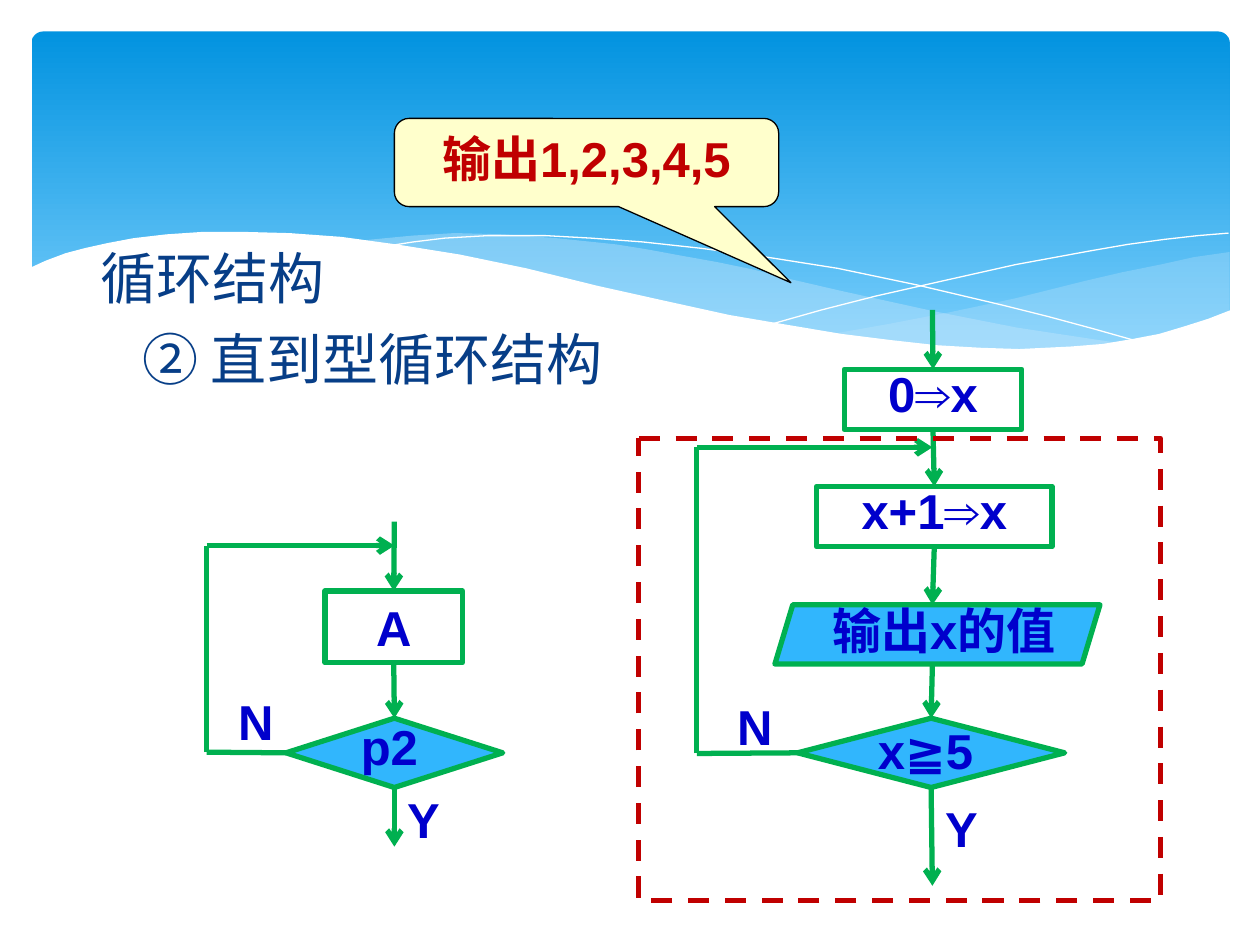
import dataclasses

import lxml.etree
import pptx
import pptx.dml.color
import pptx.enum.dml
import pptx.enum.shapes
import pptx.enum.text
import pptx.oxml.ns
import pptx.util

Inches = pptx.util.Inches
Pt = pptx.util.Pt
MSO = pptx.enum.shapes.MSO_SHAPE
qn = pptx.oxml.ns.qn


@dataclasses.dataclass(frozen=True)
class Theme:
    sky_top: str = "0293E0"
    sky_bottom: str = "83D3FE"
    mist: str = "C6E7FC"
    white: str = "FFFFFF"
    black: str = "000000"
    heading: str = "073E87"
    flow: str = "00B050"
    node: str = "31B6FD"
    label: str = "0000CC"
    accent: str = "C00000"
    note: str = "FFFFCC"
    heading_font: str = "DejaVu Sans"
    label_font: str = "Arial"
    heading_size: int = 32
    label_size: int = 28
    stroke: float = 3


T = Theme()

BACK_WAVE = [
    (9.76, 2), (9.48, 2.04), (9.21, 2.1), (8.91, 2.16), (8.61, 2.23), (8.05, 2.37),
    (7.53, 2.48), (7.06, 2.57), (6.61, 2.65), (6.91, 2.69), (7.18, 2.73), (7.45, 2.75),
    (7.81, 2.77), (8.14, 2.78), (8.44, 2.77), (8.72, 2.74), (8.97, 2.7), (9.21, 2.65),
    (9.42, 2.59), (9.63, 2.52), (9.76, 2.47)]
MIDDLE_WAVE = [
    (8.93, 2.73), (8.66, 2.69), (8.07, 2.6), (7.41, 2.47), (6.68, 2.31), (6.29, 2.22),
    (5.98, 2.14), (5.69, 2.08), (5.41, 2.03), (5.14, 1.98), (4.89, 1.94), (4.41, 1.89),
    (3.99, 1.86), (3.61, 1.85), (3.28, 1.87), (2.86, 1.91), (3.23, 1.96), (3.62, 2.03),
    (4.04, 2.11), (4.49, 2.22), (4.91, 2.32), (5.3, 2.4), (5.66, 2.48), (6.01, 2.55),
    (6.34, 2.61), (6.65, 2.66), (6.95, 2.7), (7.22, 2.74), (7.48, 2.76), (7.73, 2.78),
    (8.07, 2.79), (8.38, 2.78), (8.67, 2.76)]
FALLING_LINE = [
    (3.09, 1.95), (3.28, 1.92), (3.53, 1.89), (3.87, 1.87), (4.33, 1.87), (4.69, 1.89),
    (5.1, 1.92), (5.56, 1.97), (6.08, 2.04), (6.65, 2.13), (7.27, 2.26), (7.95, 2.42),
    (8.31, 2.51), (8.68, 2.61), (9.07, 2.72)]
RISING_LINE = [
    (6.13, 2.57), (6.52, 2.46), (6.95, 2.35), (7.48, 2.23), (8.06, 2.1), (8.66, 1.99),
    (8.95, 1.94), (9.24, 1.9), (9.51, 1.87), (9.75, 1.85)]
FRONT_WAVE = [
    (9.77, 2.46), (9.59, 2.53), (9.4, 2.59), (9.2, 2.65), (8.99, 2.69), (8.75, 2.73),
    (8.5, 2.75), (8.09, 2.77), (7.78, 2.76), (7.44, 2.74), (7.08, 2.7), (6.68, 2.65),
    (6.26, 2.58), (5.79, 2.5), (5.29, 2.39), (4.75, 2.27), (4.18, 2.13), (3.65, 2.02),
    (3.15, 1.94), (2.71, 1.88), (2.3, 1.85), (1.93, 1.84), (1.61, 1.84), (1.32, 1.86),
    (1.06, 1.89), (0.85, 1.93), (0.67, 1.97), (0.52, 2.01), (0.36, 2.07), (0.23, 2.13),
    (0.23, 3.29), (9.77, 3.29)]


def rgb(value):
    return pptx.dml.color.RGBColor.from_string(value)


def apply(target, formats):
    for name, value in formats.items():
        setattr(target, name, value)


def paint(sp, fill=None, line=None, width=T.stroke):
    sp.shadow.inherit = False
    if fill:
        sp.fill.solid()
        sp.fill.fore_color.rgb = rgb(fill)
    else:
        sp.fill.background()
    if line:
        sp.line.color.rgb = rgb(line)
        sp.line.width = Pt(width)
    else:
        sp.line.fill.background()


def write(sp, text, color=T.label, spacing=None):
    tf = sp.text_frame
    apply(tf, dict(word_wrap=True, vertical_anchor=pptx.enum.text.MSO_ANCHOR.TOP))
    p = tf.paragraphs[0]
    apply(p, dict(alignment=pptx.enum.text.PP_ALIGN.CENTER, line_spacing=spacing))
    r = p.add_run()
    r.text = text
    apply(r.font, dict(name=T.label_font, size=Pt(T.label_size), bold=True))
    r.font.color.rgb = rgb(color)


def add_node(s, kind, box, fill=None, line=T.flow, width=T.stroke, adj=()):
    sp = s.shapes.add_shape(kind, *map(Inches, box))
    for i, value in enumerate(adj):
        sp.adjustments[i] = value
    paint(sp, fill, line, width)
    return sp


def add_box(s, text, box, spacing=None):
    sp = add_node(s, MSO.RECTANGLE, box)
    write(sp, text, spacing=spacing)
    return sp


def add_label(s, text, left, top, width=0.78):
    write(s.shapes.add_textbox(*map(Inches, (left, top, width, 0.57))), text)


def add_line(s, start, end, arrow=True, begin=None, finish=None):
    cx = s.shapes.add_connector(
        pptx.enum.shapes.MSO_CONNECTOR.STRAIGHT, *map(Inches, (*start, *end)))
    cx.line.color.rgb = rgb(T.flow)
    cx.line.width = Pt(T.stroke)
    if arrow:
        ln = cx.line._get_or_add_ln()
        lxml.etree.SubElement(ln, qn("a:tailEnd"), type="arrow")
    lxml.etree.SubElement(cx._element.spPr, qn("a:effectLst"))
    if begin:
        cx.begin_connect(*begin)
    if finish:
        cx.end_connect(*finish)


def add_loop(s, decision, right, left, bottom, top, target):
    add_line(s, (right, bottom), (left, bottom), False, begin=(decision, 1))
    add_line(s, (left, bottom), (left, top), False)
    add_line(s, (left, top), (target, top))


def add_curve(s, points, fill=None, line=None, alpha=None):
    pts = [(Inches(x), Inches(y)) for x, y in points]
    fb = s.shapes.build_freeform(*pts[0])
    fb.add_line_segments(pts[1:], close=fill is not None)
    sp = fb.convert_to_shape()
    paint(sp, fill, line, 0)
    if alpha:
        clr = sp._element.spPr.find(qn("a:solidFill"))[0]
        lxml.etree.SubElement(clr, qn("a:alpha"), val=str(alpha * 1000))


def add_backdrop(s):
    sky = add_node(s, MSO.ROUNDED_RECTANGLE, (0.25, 0.25, 9.51, 2.7), line=None, adj=[0.034])
    sky.fill.gradient()
    sky.fill.gradient_angle = 270
    for stop, color, position in zip(
            sky.fill.gradient_stops, (T.sky_top, T.sky_bottom), (0, 1)):
        stop.color.rgb = rgb(color)
        stop.position = position
    add_curve(s, BACK_WAVE, T.mist, alpha=29)
    add_curve(s, MIDDLE_WAVE, T.mist, alpha=40)
    add_curve(s, FALLING_LINE, line=T.white)
    add_curve(s, RISING_LINE, line=T.white)
    add_curve(s, FRONT_WAVE, T.white)


def add_heading(s):
    tf = s.shapes.add_textbox(*map(Inches, (0.7, 1.88, 8.52, 2.27))).text_frame
    tf.word_wrap = True
    for i, text in enumerate(("循环结构", "② 直到型循环结构")):
        p = tf.add_paragraph() if i else tf.paragraphs[0]
        if i:
            apply(p, dict(level=1, space_before=Pt(8)))
            p._p.get_or_add_pPr().set("marL", str(Inches(0.33)))
        r = p.add_run()
        r.text = text
        apply(r.font, dict(name=T.heading_font, size=Pt(T.heading_size)))
        r.font.color.rgb = rgb(T.heading)


def add_general_chart(s):
    x = 3.13
    step = add_box(s, "A", (2.58, 4.69, 1.09, 0.57))
    test = add_node(s, MSO.FLOWCHART_DECISION, (2.27, 5.7, 1.72, 0.55), T.node)
    add_label(s, "p2", 2.58, 5.64, 1.02)
    add_line(s, (x, 4.14), (x, 4.69), finish=(step, 0))
    add_line(s, (x, 5.26), (x, 5.7), begin=(step, 2), finish=(test, 0))
    add_line(s, (x, 6.25), (x, 6.72), begin=(test, 2))
    add_loop(s, test, 2.27, 1.64, 5.97, 4.33, x)
    add_label(s, "N", 1.64, 5.44)
    add_label(s, "Y", 2.97, 6.22)


def add_example_chart(s):
    x = 7.4
    start = add_box(s, "0⇒x", (6.7, 2.93, 1.41, 0.48), Pt(27))
    count = add_box(s, "x+1⇒x", (6.48, 3.86, 1.87, 0.48), Pt(27))
    add_node(s, MSO.PARALLELOGRAM, (6.15, 4.8, 2.58, 0.47), T.node, adj=[0.302])
    add_label(s, "输出x的值", 6.23, 4.72, 2.52)
    test = add_node(s, MSO.FLOWCHART_DECISION, (6.33, 5.7, 2.12, 0.55), T.node)
    add_label(s, "x≧5", 6.72, 5.67, 1.25)
    add_line(s, (x, 2.46), (x, 2.93), finish=(start, 0))
    add_line(s, (x, 3.41), (x, 3.86), begin=(start, 2), finish=(count, 0))
    add_line(s, (x, 4.34), (x, 4.8), begin=(count, 2))
    add_line(s, (x, 5.28), (x, 5.7), finish=(test, 0))
    add_line(s, (x, 6.25), (x, 7.03), begin=(test, 2))
    add_loop(s, test, 6.33, 5.53, 5.98, 3.55, x)
    add_label(s, "N", 5.6, 5.48)
    add_label(s, "Y", 7.24, 6.29)
    frame = add_node(s, MSO.FLOWCHART_PROCESS, (5.07, 3.48, 4.14, 3.67), line=T.accent)
    frame.line.dash_style = pptx.enum.dml.MSO_LINE.DASH


def main():
    prs = pptx.Presentation()
    apply(prs, dict(slide_width=Inches(10), slide_height=Inches(7.5)))
    s = prs.slides.add_slide(prs.slide_layouts[6])
    add_backdrop(s)
    add_heading(s)
    add_general_chart(s)
    add_example_chart(s)
    callout = add_node(s, MSO.ROUNDED_RECTANGULAR_CALLOUT, (3.13, 0.94, 3.05, 0.7),
                       T.note, T.black, 0.75, (0.532, 1.363, 0.167))
    write(callout, "输出1,2,3,4,5", T.accent)
    prs.save("out.pptx")


if __name__ == "__main__":
    main()
